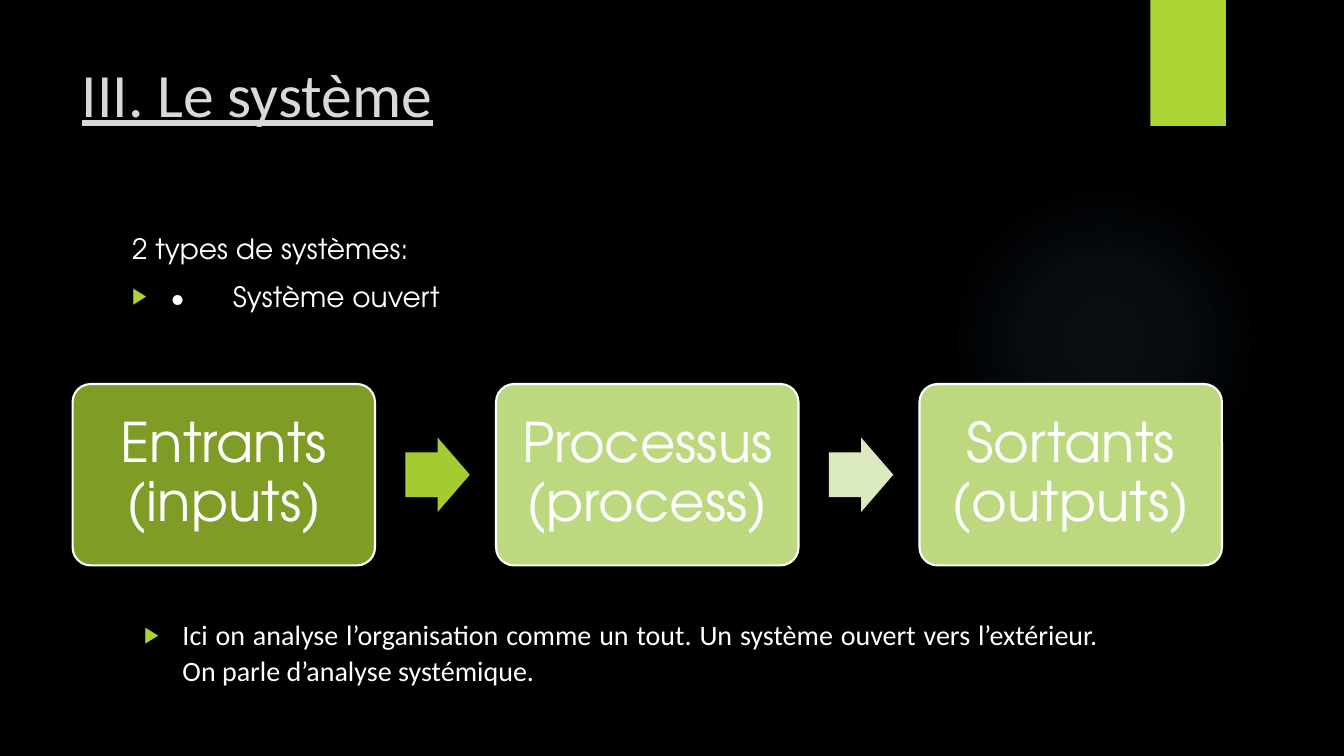
from pptx import Presentation
from pptx.dml.color import RGBColor
from pptx.enum.shapes import MSO_SHAPE
from pptx.enum.text import MSO_ANCHOR, MSO_AUTO_SIZE, PP_ALIGN
from pptx.oxml import parse_xml
from pptx.oxml.ns import nsdecls
from pptx.util import Inches, Pt

RECT, OVAL = MSO_SHAPE.RECTANGLE, MSO_SHAPE.OVAL
BOX, ARROW = MSO_SHAPE.ROUNDED_RECTANGLE, MSO_SHAPE.RIGHT_ARROW
TOP, MIDDLE = MSO_ANCHOR.TOP, MSO_ANCHOR.MIDDLE
LEFT, CENTER, JUSTIFY = PP_ALIGN.LEFT, PP_ALIGN.CENTER, PP_ALIGN.JUSTIFY
NO_FIT = MSO_AUTO_SIZE.NONE

COLORS = {
    "background": "000000", "text": "FFFFFF", "title": "D9D9D9",
    "accent": "ACD433", "glow": "7AC4F0", "input": "7F9D26",
    "stage": "BCD97F", "first arrow": "A4CB31", "second arrow": "DBEBBF",
}
HEADING_FONT, BODY_FONT = "Calibri", "TeX Gyre Adventor"
GLOW_STOPS = [(0, 7), (36, 6), (69, 0)]
STAGES = [("Entrants (inputs)", "input"), ("Processus (process)", "stage"),
          ("Sortants (outputs)", "stage")]
ARROWS = ["first arrow", "second arrow"]
STAGE_LEFT, STAGE_STEP = 0.72, 4.2


class SlideBuilder:
    """Holds the style and the current slide."""

    def __init__(self, deck):
        self.slide = deck.slides.add_slide(deck.slide_layouts[1])
        fill = self.slide.background.fill
        fill.solid()
        fill.fore_color.rgb = self.color("background")

    def color(self, name):
        return RGBColor.from_string(COLORS[name])

    def apply(self, target, values):
        for name, value in values.items():
            setattr(target, name, value)

    def place(self, placeholder, left, top, width, height):
        self.apply(placeholder, {"left": Inches(left), "top": Inches(top),
                                 "width": Inches(width), "height": Inches(height)})
        self.apply(placeholder.text_frame, {"word_wrap": True, "auto_size": NO_FIT,
                                            "vertical_anchor": TOP})
        return placeholder.text_frame

    def set_text(self, paragraph, text, size, font, color, layout, underline=False):
        paragraph.text = text
        self.apply(paragraph, layout)
        self.apply(paragraph.font, {"size": Pt(size), "name": font, "underline": underline})
        paragraph.font.color.rgb = self.color(color)

    def title(self, text):
        frame = self.place(self.slide.shapes.title, 0.71, 0.5, 10.29, 1.53)
        self.set_text(frame.paragraphs[0], text, 44, HEADING_FONT, "title",
                      {"alignment": LEFT}, underline=True)

    def body(self, items):
        frame = self.place(self.slide.placeholders[1], 1.21, 2.25, 9.78, 5.2)
        for index, (text, font, indent, layout) in enumerate(items):
            paragraph = frame.paragraphs[0] if index == 0 else frame.add_paragraph()
            self.bullet(paragraph, indent)
            self.set_text(paragraph, text, 20, font, "text", layout)

    def bullet(self, paragraph, indent):
        properties = paragraph._p.get_or_add_pPr()
        properties.set("marL", str(Inches(indent)))
        properties.set("indent", str(Inches(-0.38 if indent else 0)))
        marks = ['<a:buNone {}/>']
        if indent:
            marks = [f'<a:buClr {{}}><a:srgbClr val="{COLORS["accent"]}"/></a:buClr>',
                     '<a:buSzPct {} val="80000"/>', '<a:buChar {} char="▶"/>',
                     f'<a:tabLst {{}}><a:tab pos="{Inches(1)}" algn="l"/></a:tabLst>']
        for mark in marks:
            properties.append(parse_xml(mark.format(nsdecls("a"))))

    def shape(self, kind, left, top, width, height, color, adjustments=()):
        shape = self.slide.shapes.add_shape(
            kind, Inches(left), Inches(top), Inches(width), Inches(height))
        shape.shadow.inherit = False
        shape.fill.solid()
        shape.fill.fore_color.rgb = self.color(color)
        shape.line.fill.background()
        for index, value in enumerate(adjustments):
            shape.adjustments[index] = value
        return shape

    def glow(self):
        halo = self.shape(OVAL, 9.41, 1.83, 3.08, 3.08, "glow")
        stops = "".join(
            f'<a:gs pos="{position * 1000}"><a:srgbClr val="{COLORS["glow"]}">'
            f'<a:alpha val="{alpha * 1000}"/></a:srgbClr></a:gs>'
            for position, alpha in GLOW_STOPS)
        gradient = parse_xml(
            f'<a:gradFill {nsdecls("a")}><a:gsLst>{stops}</a:gsLst><a:path path="circle">'
            '<a:fillToRect l="50000" t="50000" r="50000" b="50000"/></a:path></a:gradFill>')
        properties = halo._element.spPr
        properties.replace(properties.find(
            "{http://schemas.openxmlformats.org/drawingml/2006/main}solidFill"), gradient)

    def stage(self, left, label, color):
        box = self.shape(BOX, left, 3.81, 3, 1.8, color, [0.1])
        box.line.color.rgb = self.color("text")
        box.line.width = Pt(1.5)
        inset = Inches(0.16)
        self.apply(box.text_frame, {
            "word_wrap": True, "vertical_anchor": MIDDLE, "margin_left": inset,
            "margin_right": inset, "margin_top": inset, "margin_bottom": inset})
        self.set_text(box.text_frame.paragraphs[0], label, 39, BODY_FONT, "text",
                      {"alignment": CENTER, "line_spacing": 0.9})

    def arrow(self, left, color):
        self.shape(ARROW, left, 4.34, 0.64, 0.74, color, [0.6, 0.5])


def main():
    deck = Presentation()
    deck.slide_width, deck.slide_height = Inches(13.33), Inches(7.5)
    builder = SlideBuilder(deck)
    builder.glow()
    builder.shape(RECT, 11.41, 0, 0.75, 1.25, "accent")
    builder.title("III. Le système")
    builder.body([
        ("2 types de systèmes:", BODY_FONT, 0, {"space_before": Pt(0)}),
        ("•\tSystème ouvert", BODY_FONT, 0.38, {"space_before": Pt(10)}),
        ("Ici on analyse l’organisation comme un tout. Un système ouvert vers "
         "l’extérieur. On parle d’analyse systémique.", HEADING_FONT, 0.5,
         {"space_before": Pt(216), "alignment": JUSTIFY, "line_spacing": 1.07}),
    ])
    for index, (label, color) in enumerate(STAGES):
        builder.stage(STAGE_LEFT + index * STAGE_STEP, label, color)
    for index, color in enumerate(ARROWS):
        builder.arrow(STAGE_LEFT + 3.3 + index * STAGE_STEP, color)
    deck.save("out.pptx")


if __name__ == "__main__":
    main()
